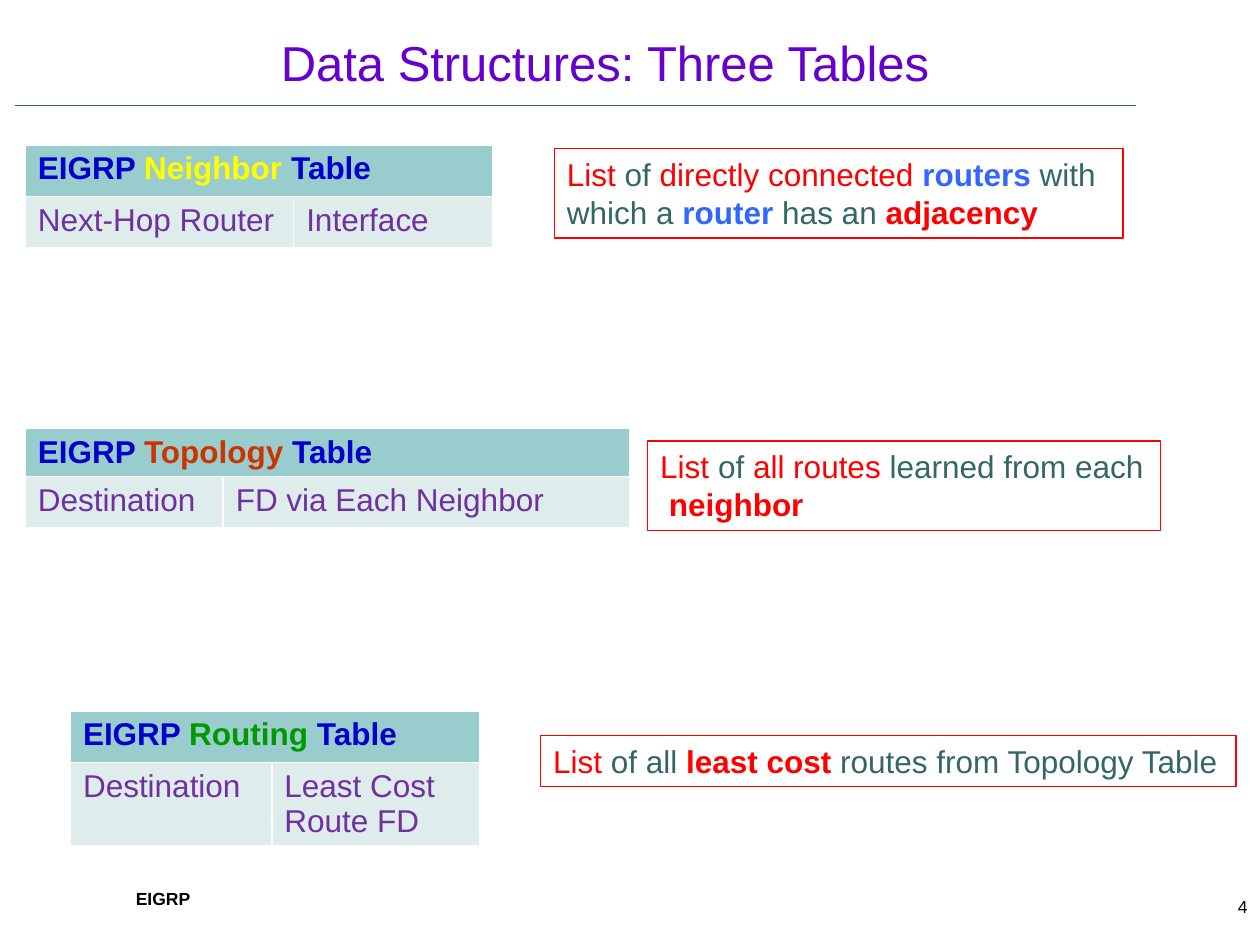
from dataclasses import dataclass

from lxml.etree import SubElement as SubEl
from pptx import Presentation as Deck
from pptx.dml.color import RGBColor as Rgb
from pptx.enum.shapes import MSO_CONNECTOR as Conn, MSO_SHAPE as Shape
from pptx.enum.text import MSO_ANCHOR as Anchor, MSO_AUTO_SIZE as Fit, PP_ALIGN as Align
from pptx.oxml.ns import qn
from pptx.util import Cm, Pt


@dataclass(frozen=True)
class Theme:
    """Colours and type sizes of the slide."""
    font: str = "Arial"
    big: int = 28
    body: int = 18
    small: int = 10
    thin: float = 0.75
    title: str = "6600CC"
    teal: str = "336666"
    red: str = "FF0000"
    sky: str = "3366FF"
    navy: str = "0000CC"
    gold: str = "FFFF00"
    rust: str = "CC3300"
    green: str = "009900"
    plum: str = "7030A0"
    black: str = "000000"
    head: str = "99CCCC"
    pale: str = "DEECEC"


LOOK = Theme()


def tone(name):
    """Return a theme colour."""
    return Rgb.from_string(getattr(LOOK, name))


def apply(item, form):
    """Set each attribute of a format dict."""
    for key, value in form.items():
        setattr(item, key, value)


def write(frame, lines, size="body", align=Align.LEFT, **form):
    """Fill a text frame with lines of (text, colour, bold) runs."""
    apply(frame, form)
    for i, line in enumerate(lines):
        para = frame.add_paragraph() if i else frame.paragraphs[0]
        para.alignment = align
        for text, ink, bold in line:
            run = para.add_run()
            run.text = text
            apply(run.font, {"name": LOOK.font, "size": Pt(getattr(LOOK, size)), "bold": bold})
            run.font.color.rgb = tone(ink)


def place(box):
    """Turn a box in centimetres into lengths."""
    return [Cm(v) for v in box]


def header(slide, box, text):
    """Place the title and the rule below it."""
    title = slide.shapes.title
    apply(title, dict(zip(("left", "top", "width", "height"), place(box))))
    write(title.text_frame, [[(text, "title", False)]], "big", Align.CENTER,
          word_wrap=True, auto_size=Fit.NONE, vertical_anchor=Anchor.MIDDLE)
    x, y, w, h = box
    low = y + h + 0.15
    rule = slide.shapes.add_connector(Conn.STRAIGHT, *place((x - 3.79, low, x + w + 2.61, low)))
    rule.line.color.rgb = tone("teal")
    rule.line.width = Pt(LOOK.thin)
    SubEl(rule._element.spPr, qn("a:effectLst"))


def grid(slide, spot, cols, rows, name, ink, heads):
    """Place a table with a merged heading and two column names."""
    box = (*spot, sum(cols), sum(rows))
    table = slide.shapes.add_table(2, 2, *place(box)).table
    for col, wide in zip(table.columns, cols):
        col.width = Cm(wide)
    for row, high in zip(table.rows, rows):
        row.height = Cm(high)
    table.cell(0, 0).merge(table.cell(0, 1))
    top = [("EIGRP ", "navy", True), (name, ink, True), (" Table", "navy", True)]
    cells = [(0, 0, top, "head")]
    cells += [(1, i, [(head, "plum", False)], "pale") for i, head in enumerate(heads)]
    for r, c, line, fill in cells:
        cell = table.cell(r, c)
        cell.fill.solid()
        cell.fill.fore_color.rgb = tone(fill)
        write(cell.text_frame, [line])


def note(slide, box, lines):
    """Place a red-framed remark."""
    shape = slide.shapes.add_shape(Shape.RECTANGLE, *place(box))
    shape.shadow.inherit = False
    shape.fill.background()
    shape.line.color.rgb = tone("red")
    shape.line.width = Pt(LOOK.thin)
    write(shape.text_frame, lines, word_wrap=False,
          auto_size=Fit.SHAPE_TO_FIT_TEXT, vertical_anchor=Anchor.TOP)


def label(slide, box, text, bold, align):
    """Place a small footer text."""
    frame = slide.shapes.add_textbox(*place(box)).text_frame
    write(frame, [[(text, "black", bold)]], "small", align, word_wrap=True)


GRIDS = [
    ((0.51, 2.92), (5.41, 4.01), (1.04, 1.04), "Neighbor", "gold",
     ("Next-Hop Router", "Interface")),
    ((0.51, 8.64), (3.99, 8.2), (0.96, 1.04), "Topology", "rust",
     ("Destination", "FD via Each Neighbor")),
    ((1.42, 14.33), (4.06, 4.19), (1.04, 1.65), "Routing", "green",
     ("Destination", "Least Cost Route FD")),
]
NOTES = [
    ((11.18, 3, 11.46, 1.8), [
        [("List", "red", False), (" of ", "teal", False),
         ("directly connected ", "red", False), ("routers ", "sky", True),
         ("with ", "teal", False)],
        [("which a ", "teal", False), ("router", "sky", True),
         (" has an ", "teal", False), ("adjacency", "red", True)]]),
    ((13.06, 8.89, 10.34, 1.8), [
        [("List ", "red", False), ("of ", "teal", False),
         ("all routes", "red", False), (" learned from each", "teal", False)],
        [(" ", "teal", False), ("neighbor", "red", True)]]),
    ((10.9, 14.83, 14.02, 1.02), [
        [("List ", "red", False), ("of all ", "teal", False),
         ("least cost ", "red", True), ("routes from Topology Table", "teal", False)]]),
]


def build():
    """Build and save the slide."""
    deck = Deck()
    apply(deck, {"slide_width": Cm(25.4), "slide_height": Cm(19.05)})
    slide = deck.slides.add_slide(deck.slide_layouts[5])
    header(slide, (4.09, 0.53, 16.21, 1.45), "Data Structures: Three Tables")
    for item in GRIDS:
        grid(slide, *item)
    for item in NOTES:
        note(slide, *item)
    label(slide, (2.49, 17.78, 7.39, 1.27), "EIGRP", True, Align.LEFT)
    label(slide, (23.39, 17.93, 2.01, 0.79), "4", False, Align.RIGHT)
    deck.save("out.pptx")


build()
